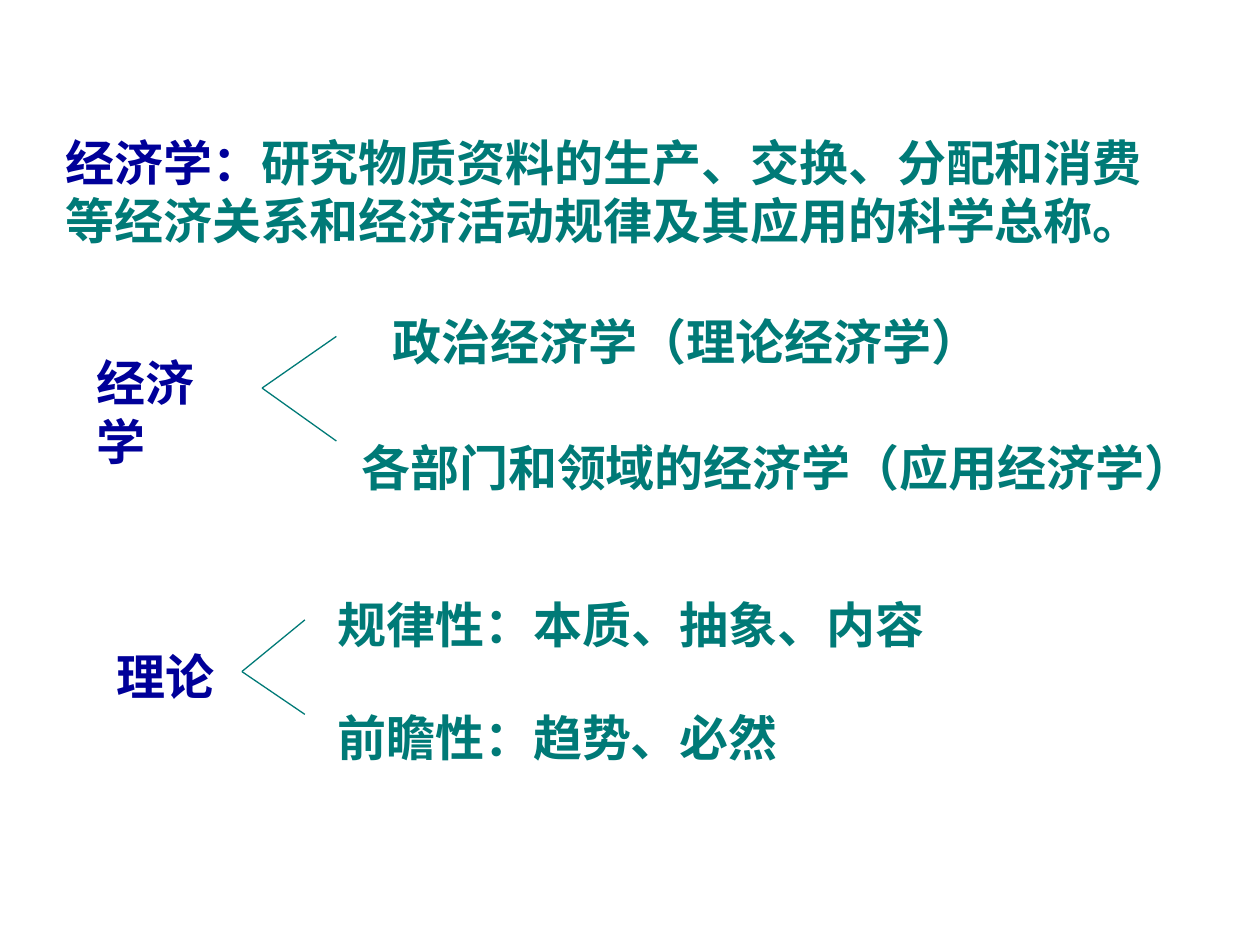
import pptx
import pptx.dml.color
import pptx.enum.shapes
import pptx.enum.text
import pptx.oxml.ns
import pptx.util
from lxml import etree

Inches = pptx.util.Inches
COLORS = {"term": "000099", "body": "007A77", "background": "FFFFFF"}
SERIF, SANS = "Times New Roman", "Arial"


def rgb(name):
    return pptx.dml.color.RGBColor.from_string(COLORS[name])


class SlideWriter:
    """Holds the shared text and line style and the slide being filled."""

    size = pptx.util.Pt(28)
    line_width = pptx.util.Pt(0.75)

    def __init__(self, slide):
        self.slide = slide
        slide.background.fill.solid()
        slide.background.fill.fore_color.rgb = rgb("background")

    def text(self, box, runs, font, wrap=True):
        """Add one paragraph; runs are (wording, colour name) pairs."""
        frame = self.slide.shapes.add_textbox(*map(Inches, box)).text_frame
        frame.word_wrap = wrap
        frame.auto_size = pptx.enum.text.MSO_AUTO_SIZE.SHAPE_TO_FIT_TEXT
        for wording, color in runs:
            run = frame.paragraphs[0].add_run()
            run.text = wording
            run.font.name = font
            run.font.size = self.size
            run.font.bold = True
            run.font.color.rgb = rgb(color)

    def line(self, start, end):
        connector = self.slide.shapes.add_connector(
            pptx.enum.shapes.MSO_CONNECTOR.STRAIGHT, *map(Inches, start + end))
        connector.line.color.rgb = rgb("body")
        connector.line.width = self.line_width
        etree.SubElement(connector._element.spPr, pptx.oxml.ns.qn("a:effectLst"))

    def fork(self, tip, right, ends):
        """Draw one line from the tip to each height in ends."""
        for end in ends:
            self.line(tip, (right, end))


def main():
    deck = pptx.Presentation()
    deck.slide_width, deck.slide_height = Inches(10), Inches(7.5)
    writer = SlideWriter(deck.slides.add_slide(deck.slide_layouts[6]))

    writer.text((0.42, 1, 9.08, 1.04), [
        ("经济学：", "term"),
        ("研究物质资料的生产、交换、分配和消费等经济关系和经济活动规律及其应用的科学总称。", "body"),
    ], SERIF)

    row = 0.57
    labels = [
        ((0.67, 2.75, 1.36, row), "经济学", "term", SERIF, False),
        ((3.02, 2.42, 4.86, row), "政治经济学（理论经济学）", "body", SERIF, False),
        ((2.77, 3.42, 6.8, row), "各部门和领域的经济学（应用经济学）", "body", SERIF, False),
        ((0.83, 5.08, 1.83, row), "理论", "term", SANS, True),
        ((2.58, 4.67, 6.58, row), "规律性：本质、抽象、内容", "body", SANS, True),
        ((2.58, 5.57, 6, row), "前瞻性：趋势、必然", "body", SANS, True),
    ]
    for box, wording, color, font, wrap in labels:
        writer.text(box, [(wording, color)], font, wrap)

    writer.fork((1.92, 5.33), 2.42, (4.92, 5.67))
    writer.fork((2.08, 3.08), 2.67, (2.67, 3.5))

    deck.save("out.pptx")


if __name__ == "__main__":
    main()
